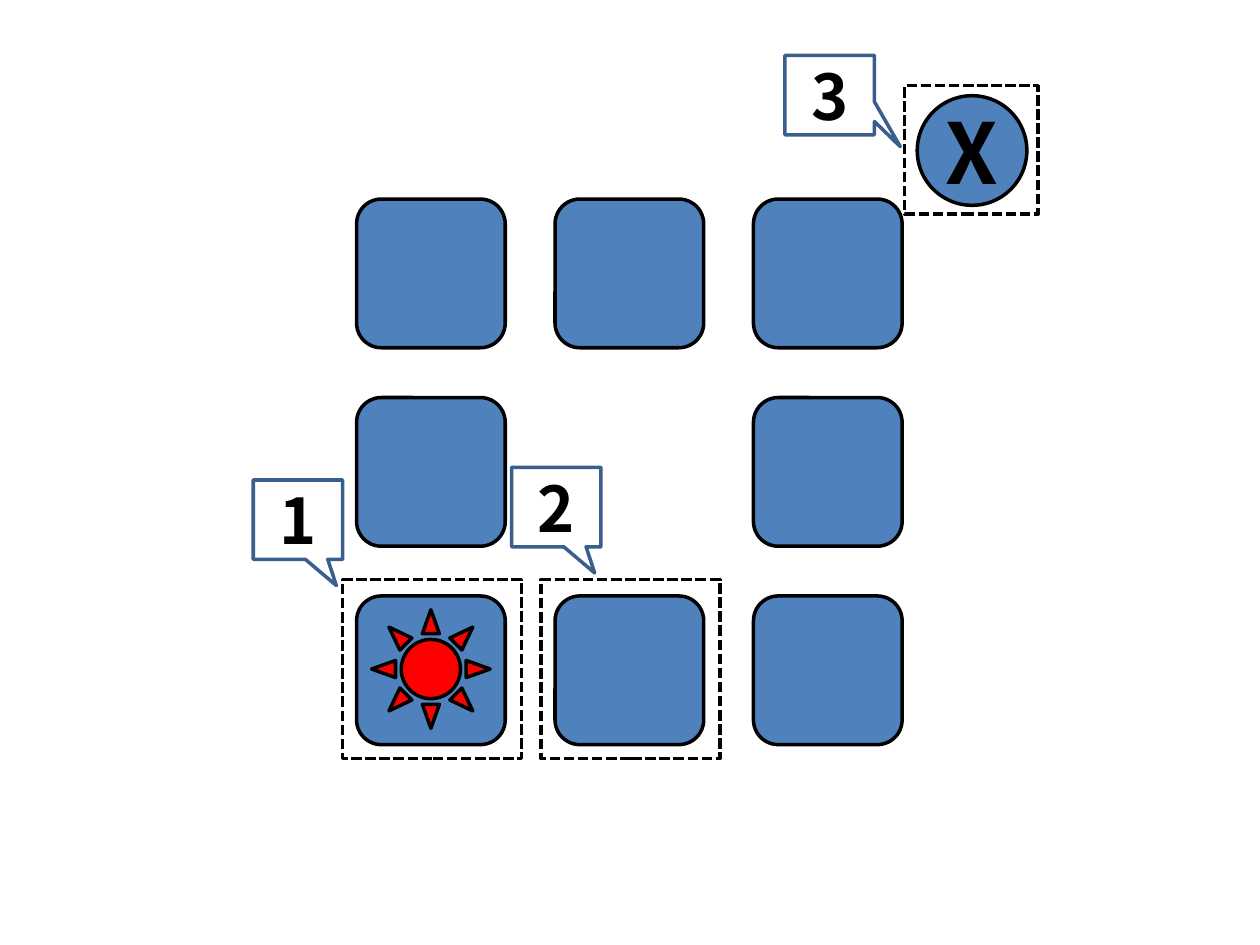
from pptx import Presentation
from pptx.dml.color import RGBColor
from pptx.enum import dml, shapes, text
from pptx.util import Inches, Pt

BLUE = RGBColor(0x4F, 0x81, 0xBD)
DARK_BLUE = RGBColor(0x3A, 0x5F, 0x8C)
RED = RGBColor(0xFF, 0x00, 0x00)
BLACK = RGBColor(0x00, 0x00, 0x00)
FONT = "Noto Sans CJK KR"
SHAPE = shapes.MSO_SHAPE

GRID_LEFT, GRID_TOP, PITCH, TILE = 2.83, 1.58, 1.575, 1.18
FRAME = 1.42


def add_outlined(slide, kind, box, fill=None, line=BLACK):
    """Add a preset shape with a 2 pt outline in the given box."""
    shape = slide.shapes.add_shape(kind, *(Inches(length) for length in box))
    shape.shadow.inherit = False
    if fill is None:
        shape.fill.background()
    else:
        shape.fill.solid()
        shape.fill.fore_color.rgb = fill
    shape.line.color.rgb = line
    shape.line.width = Pt(2)
    return shape


def add_label(shape, label, size):
    """Write a bold centred label in a shape."""
    frame = shape.text_frame
    settings = {"margin_left": 0, "margin_right": 0, "margin_top": 0, "margin_bottom": 0,
                "word_wrap": True, "vertical_anchor": text.MSO_ANCHOR.MIDDLE}
    for name, value in settings.items():
        setattr(frame, name, value)
    paragraph = frame.paragraphs[0]
    paragraph.alignment = text.PP_ALIGN.CENTER
    run = paragraph.add_run()
    run.text = label
    for name, value in {"name": FONT, "size": Pt(size), "bold": True}.items():
        setattr(run.font, name, value)
    run.font.color.rgb = BLACK


def add_tile_ring(slide, left, top):
    """Place a three by three grid of tiles with an empty centre."""
    for row in range(3):
        for column in range(3):
            if (row, column) != (1, 1):
                box = (left + column * PITCH, top + row * PITCH, TILE, TILE)
                add_outlined(slide, SHAPE.ROUNDED_RECTANGLE, box, BLUE)


def add_frame(slide, box):
    """Draw a dashed frame."""
    frame = add_outlined(slide, SHAPE.RECTANGLE, box)
    frame.line.dash_style = dml.MSO_LINE.SQUARE_DOT


def add_callout(slide, left, top, label, tip):
    """Place a numbered callout whose pointer ends at the given tip."""
    box = (left, top, 0.71, 0.63)
    callout = add_outlined(slide, SHAPE.RECTANGULAR_CALLOUT, box, line=DARK_BLUE)
    for index, value in enumerate(tip):
        callout.adjustments[index] = value
    add_label(callout, label, 36)


def main():
    """Build and save the slide."""
    presentation = Presentation()
    presentation.slide_width, presentation.slide_height = Inches(10), Inches(7.5)
    slide = presentation.slides.add_slide(presentation.slide_layouts[6])

    add_tile_ring(slide, GRID_LEFT, GRID_TOP)
    button = add_outlined(slide, SHAPE.OVAL, (7.28, 0.76, 0.87, 0.87), BLUE)
    add_label(button, "X", 48)
    add_outlined(slide, SHAPE.SUN, (2.95, 4.84, 0.94, 0.94), RED)

    add_frame(slide, (7.18, 0.68, 1.06, 1.02))
    for column in range(2):
        add_frame(slide, (2.72 + column * PITCH, 4.6, FRAME, FRAME))

    down, right = (0.43, 0.83), (0.79, 0.65)
    for left, top, label, tip in ((2.01, 3.81, "1", down),
                                  (4.06, 3.71, "2", down),
                                  (6.23, 0.44, "3", right)):
        add_callout(slide, left, top, label, tip)

    presentation.save("out.pptx")


if __name__ == "__main__":
    main()
